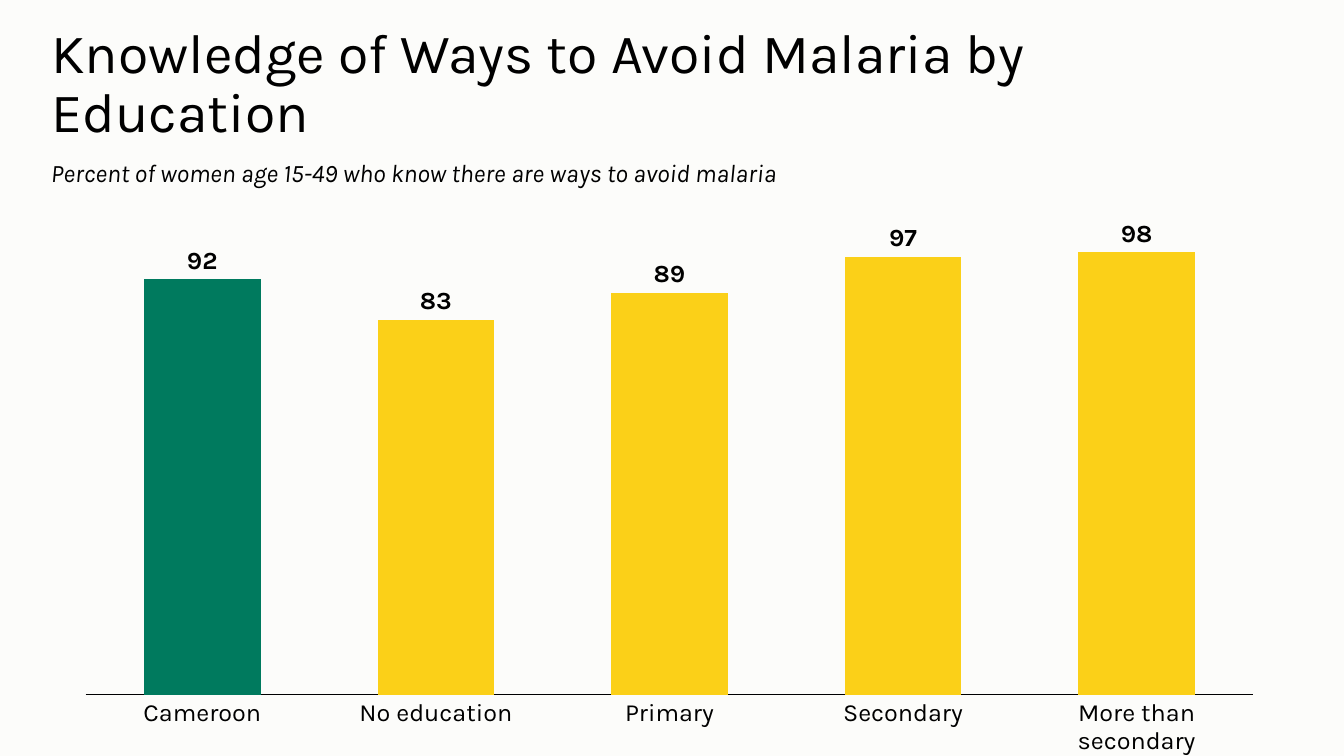
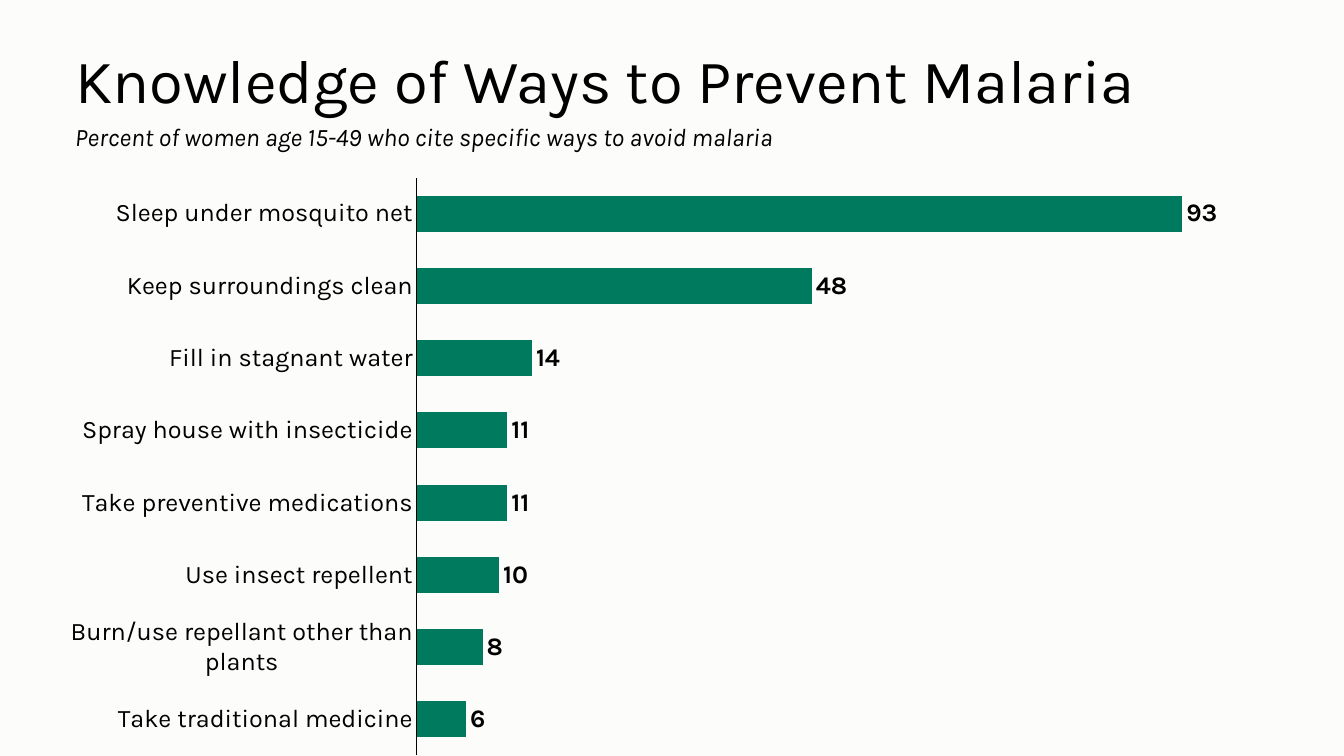
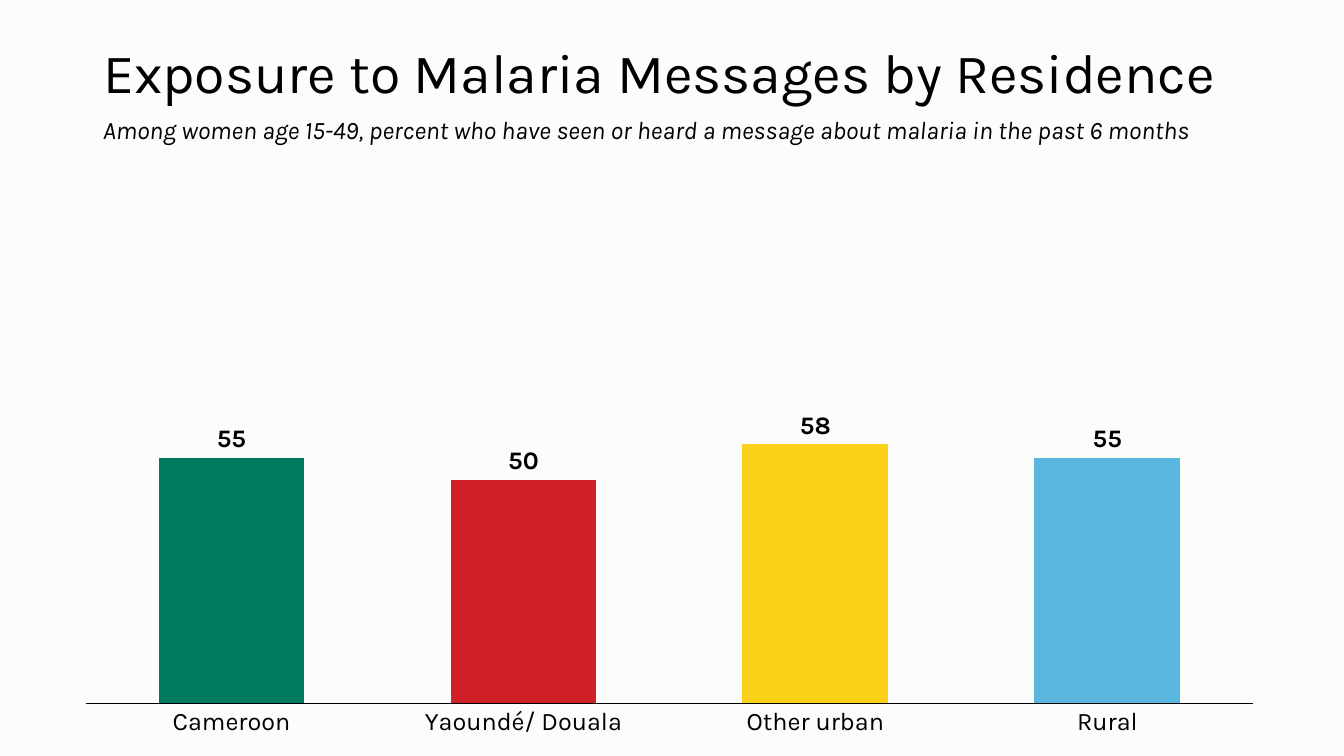
from lxml import etree
from pptx import Presentation
from pptx.chart.data import CategoryChartData as Data
from pptx.dml.color import RGBColor as RGB
from pptx.enum.chart import XL_CHART_TYPE as Kind, XL_LABEL_POSITION as Spot
from pptx.enum.chart import XL_TICK_MARK as Tick
from pptx.enum.text import MSO_ANCHOR as Anchor, MSO_AUTO_SIZE as Fit, PP_ALIGN as Align
from pptx.oxml.ns import qn
from pptx.util import Emu, Pt

FONT = "Karla"
PAPER = RGB(0xFC, 0xFC, 0xFA)
BLACK = RGB(0x00, 0x00, 0x00)
GREEN = RGB(0x00, 0x7A, 0x5E)
GOLD = RGB(0xFB, 0xD0, 0x18)
RED = RGB(0xCF, 0x20, 0x28)
BLUE = RGB(0x5A, 0xB7, 0xE0)

WIDE, HIGH = 1344, 756
SCALE = 12192000 / WIDE
LEFT, SPAN = 65, 1209


def px(*sizes):
    return [Emu(round(size * SCALE)) for size in sizes]


def style(font, size, bold=False, italic=False):
    font.name = FONT
    font.size = Pt(size)
    font.bold = bold
    font.italic = italic
    font.color.rgb = BLACK


def add_title(slide, text, box, size):
    title = slide.shapes.title
    title.left, title.top, title.width, title.height = px(*box)
    frame = title.text_frame
    frame.text = text
    frame.auto_size = Fit.NONE
    frame.vertical_anchor = Anchor.MIDDLE
    para = frame.paragraphs[0]
    para.alignment = Align.LEFT
    para.line_spacing = 0.9
    style(para.font, size)


def add_note(slide, text, left, top):
    frame = slide.shapes.add_textbox(*px(left, top, SPAN, 40)).text_frame
    frame.word_wrap = True
    frame.auto_size = Fit.SHAPE_TO_FIT_TEXT
    para = frame.paragraphs[0]
    para.text = text
    style(para.font, 18, italic=True)


def set_plot(chart, area):
    plot = chart.element.find(".//" + qn("c:plotArea"))
    for old in plot.findall(qn("c:layout")):
        plot.remove(old)
    layout = etree.Element(qn("c:layout"))
    manual = etree.SubElement(layout, qn("c:manualLayout"))
    keys = ("layoutTarget", "xMode", "yMode", "x", "y", "w", "h")
    for key, value in zip(keys, ("inner", "edge", "edge", *area)):
        etree.SubElement(manual, qn("c:" + key)).set("val", str(value))
    plot.insert(0, layout)


def add_bars(slide, kind, top, area, rows, fill, points):
    data = Data()
    data.categories = [name for name, _ in rows]
    data.add_series("Series 1", [value for _, value in rows])
    box = px(LEFT, top, SPAN, HIGH - top)
    chart = slide.shapes.add_chart(kind, *box, data).chart
    chart.has_legend = False
    chart.has_title = False
    style(chart.font, 10)
    set_plot(chart, area)

    names = chart.category_axis
    names.major_tick_mark = names.minor_tick_mark = Tick.NONE
    names.has_major_gridlines = False
    names.format.line.color.rgb = BLACK
    names.format.line.width = Pt(0.75)
    style(names.tick_labels.font, 18)

    scale = chart.value_axis
    scale.minimum_scale, scale.maximum_scale = 0, 100
    scale.has_major_gridlines = False
    scale.visible = False

    plot = chart.plots[0]
    plot.gap_width = 100
    plot.vary_by_categories = False
    plot.has_data_labels = True
    labels = plot.data_labels
    labels.show_value = True
    labels.position = Spot.OUTSIDE_END
    style(labels.font, 18, bold=True)

    bars = plot.series[0]
    bars.invert_if_negative = False
    paint(bars, fill)
    for index, color in enumerate(points):
        paint(bars.points[index], color)


def paint(part, color):
    part.format.fill.solid()
    part.format.fill.fore_color.rgb = color


def main():
    deck = Presentation()
    deck.slide_width, deck.slide_height = px(WIDE, HIGH)
    back = deck.slide_master.background.fill
    back.solid()
    back.fore_color.rgb = PAPER
    layout = deck.slide_layouts[5]

    slide = deck.slides.add_slide(layout)
    add_title(slide, "Knowledge of Ways to Avoid Malaria by Education",
              (41, 32, 1159, 106), 39.6)
    rows = [("Cameroon", 92), ("No education", 83), ("Primary", 89),
            ("Secondary", 97), ("More than secondary", 98)]
    add_bars(slide, Kind.COLUMN_CLUSTERED, 209, (0.017, 0.064, 0.966, 0.845),
             rows, GOLD, [GREEN])
    add_note(slide, "Percent of women age 15-49 who know there are ways to avoid malaria",
             41, 152)

    slide = deck.slides.add_slide(layout)
    add_title(slide, "Knowledge of Ways to Prevent Malaria", (65, 31, 1159, 105), 44)
    rows = [("Take traditional medicine", 6),
            ("Burn/use repellant other than plants", 8),
            ("Use insect repellent", 10),
            ("Take preventive medications", 11),
            ("Spray house with insecticide", 11),
            ("Fill in stagnant water", 14),
            ("Keep surroundings clean", 48),
            ("Sleep under mosquito net", 93)]
    add_bars(slide, Kind.BAR_CLUSTERED, 177, (0.291, 0, 0.681, 1), rows, GREEN, [])
    add_note(slide, "Percent of women age 15-49 who cite specific ways to avoid malaria",
             65, 116)

    slide = deck.slides.add_slide(layout)
    add_title(slide, "Exposure to Malaria Messages by Residence", (93, 40, 1159, 72), 39.6)
    rows = [("Cameroon", 55), ("Yaoundé/ Douala", 50), ("Other urban", 58), ("Rural", 55)]
    add_bars(slide, Kind.COLUMN_CLUSTERED, 177, (0.017, 0.138, 0.966, 0.771),
             rows, GREEN, [GREEN, RED, GOLD, BLUE])
    add_note(slide, "Among women age 15-49, percent who have seen or heard a message "
             "about malaria in the past 6 months", 93, 109)

    deck.save("out.pptx")


if __name__ == "__main__":
    main()
